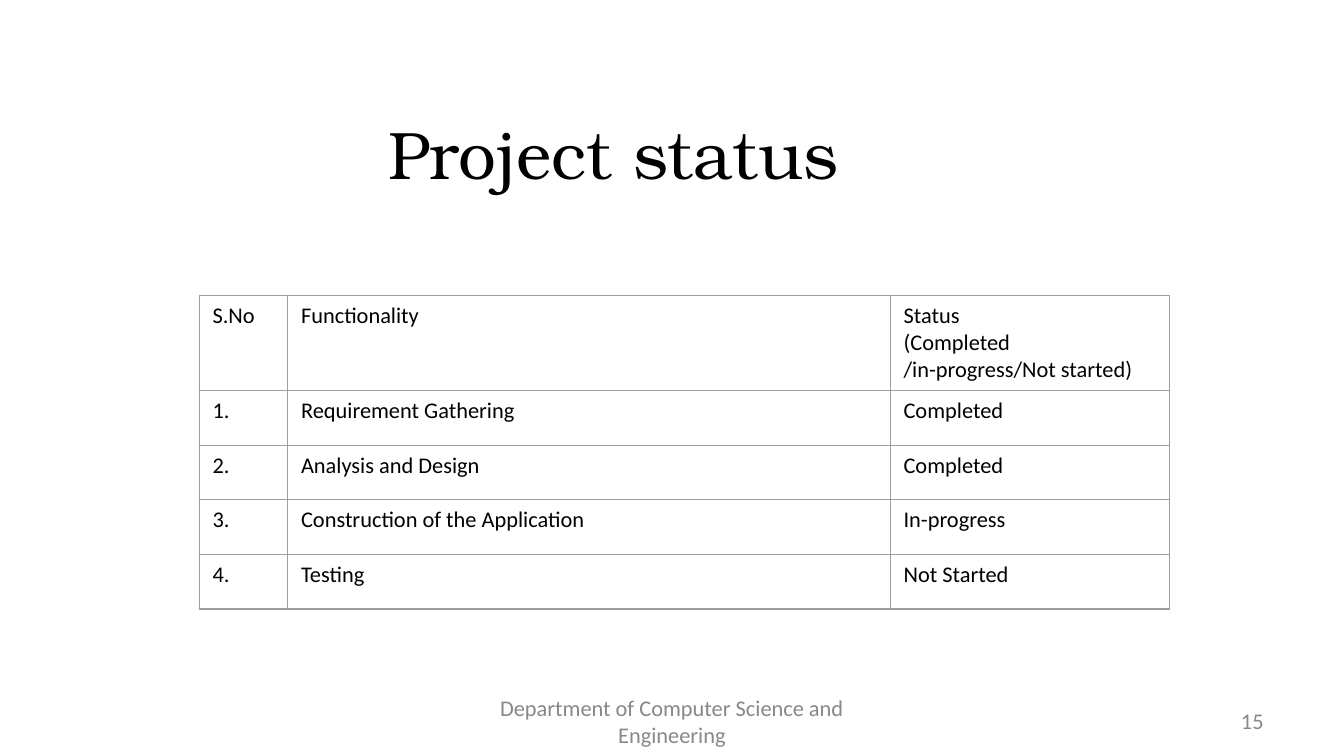
from pptx import Presentation
from pptx.util import Pt
from pptx.dml.color import RGBColor as RGB
from pptx.enum.text import PP_ALIGN as AL, MSO_ANCHOR as ANC
from pptx.oxml import parse_xml
from pptx.oxml.ns import nsdecls

HUES = {"ink": "000000", "gray": "888888", "rule": "9E9E9E"}


def write(frame, text, size=12, font="Calibri", hue="ink", align=AL.LEFT, anchor=ANC.TOP):
    frame.word_wrap = True
    frame.vertical_anchor = anchor
    frame.text = text
    for par in frame.paragraphs:
        par.alignment = align
        for run in par.runs:
            run.font.size = Pt(size)
            run.font.name = font
            run.font.color.rgb = RGB.from_string(HUES[hue])


deck = Presentation()
deck.slide_width, deck.slide_height = Pt(720), Pt(405)
slide = deck.slides.add_slide(deck.slide_layouts[5])

title = slide.shapes.title
title.left, title.top, title.width, title.height = Pt(87.84), Pt(56.88), Pt(481.68), Pt(49.68)
write(title.text_frame, "Project status", size=36, font="TeX Gyre Bonum",
      align=AL.CENTER, anchor=ANC.MIDDLE)

rows = [
    ("S.No", "Functionality", "Status\n(Completed /in-progress/Not started)"),
    ("1.", "Requirement Gathering", "Completed"),
    ("2.", "Analysis and Design", "Completed"),
    ("3.", "Construction of the Application", "In-progress"),
    ("4.", "Testing", "Not Started"),
]
widths = [47.4, 322.8, 149.6]
heights = [51] + [29.25] * 4
table = slide.shapes.add_table(len(rows), len(widths), Pt(106.7), Pt(158.2),
                               Pt(sum(widths)), Pt(sum(heights))).table
table.first_row = table.horz_banding = False
for col, width in zip(table.columns, widths):
    col.width = Pt(width)
for row, height, texts in zip(table.rows, heights, rows):
    row.height = Pt(height)
    for cell, text in zip(row.cells, texts):
        write(cell.text_frame, text)
        cell.fill.background()
        props = cell._tc.get_or_add_tcPr()
        for spot, side in enumerate("LRTB"):
            props.insert(spot, parse_xml(
                f'<a:ln{side} {nsdecls("a")} w="{Pt(0.75)}"><a:solidFill>'
                f'<a:srgbClr val="{HUES["rule"]}"/></a:solidFill></a:ln{side}>'))

notes = [
    ("Department of Computer Science and Engineering", 246, 228, AL.CENTER),
    ("15", 516, 168, AL.RIGHT),
]
for text, left, width, align in notes:
    box = slide.shapes.add_textbox(Pt(left), Pt(375.4), Pt(width), Pt(21.6))
    write(box.text_frame, text, hue="gray", align=align, anchor=ANC.MIDDLE)

deck.save("out.pptx")
